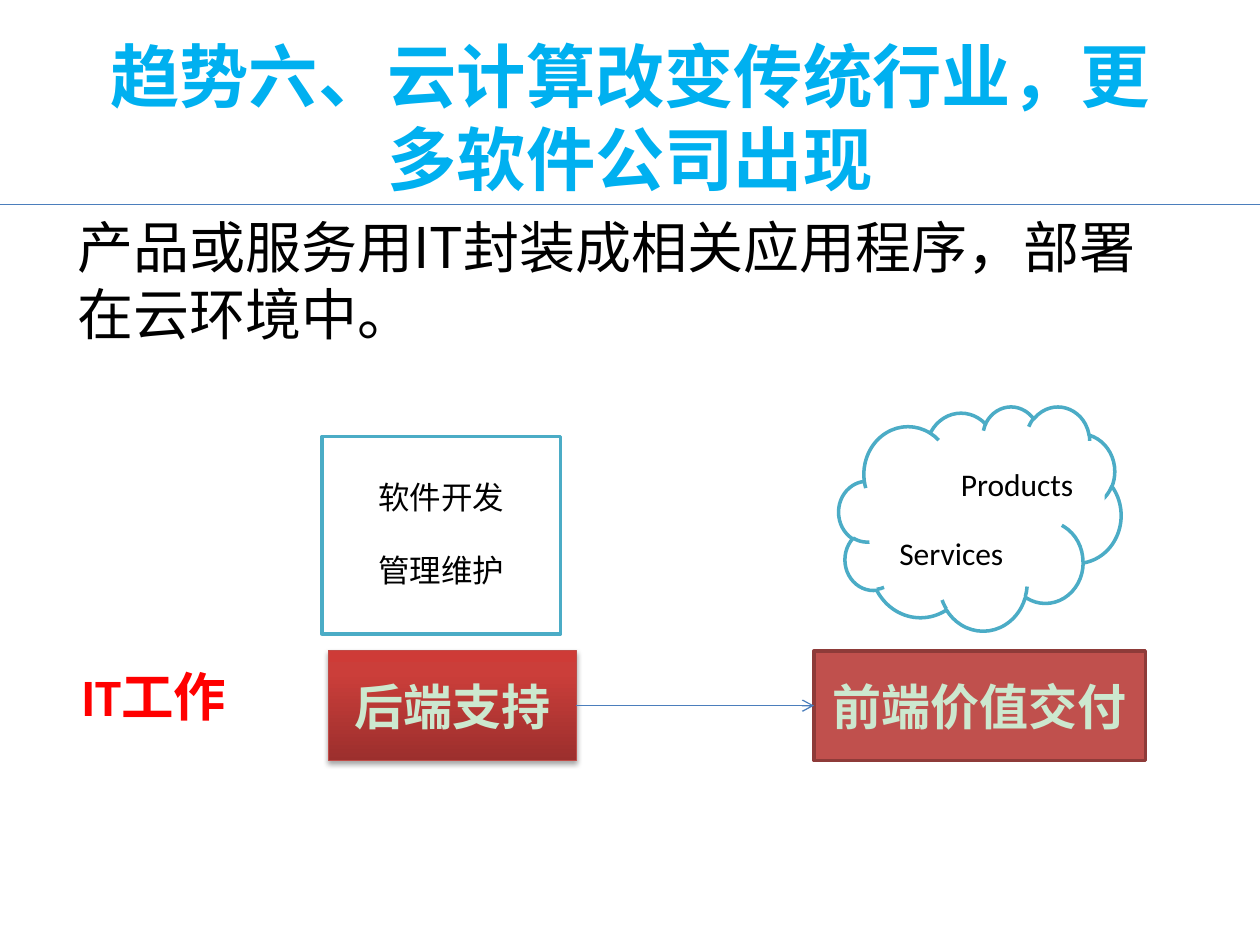
from lxml.etree import SubElement
from pptx import Presentation
from pptx.dml.color import RGBColor
from pptx.enum.shapes import MSO_CONNECTOR, MSO_SHAPE
from pptx.enum.text import MSO_ANCHOR, MSO_AUTO_SIZE, PP_ALIGN
from pptx.oxml import parse_xml
from pptx.oxml.ns import nsdecls, qn
from pptx.util import Cm, Pt

COLORS = {
    "white": "FFFFFF", "black": "000000", "red": "FF0000", "title": "00B0F0",
    "mint": "CCE8CF", "teal": "4BACC6", "rule": "4B7EBC",
    "brick": "C0504D", "brick_edge": "8E3B39", "support_edge": "BF4C48",
}
GRADIENT = [(0, "9C2F2D"), (80, "CB3E3A"), (100, "CE3B37")]

TITLE = "趋势六、云计算改变传统行业，更多软件公司出现"
BODY = "产品或服务用IT封装成相关应用程序，部署在云环境中。"
LABEL_HEIGHT = 1.4
LABELS = [
    ("Products", 18.74, 9.05, 3.53, {}),
    ("Services", 17.86, 10.44, 2.64, {}),
    ("IT工作", 0.7, 13.32, 4.8, {"size": 30, "color": "red", "bold": True}),
    ("软件开发", 7.26, 9.32, 3.28, {}),
    ("管理维护", 7.26, 10.79, 3.28, {}),
]
OUTLINES = [
    (MSO_SHAPE.RECTANGLE, (6.49, 8.8, 4.81, 3.98)),
    (MSO_SHAPE.CLOUD, (16.91, 8.19, 5.69, 4.52)),
]
STAGE_TOP, STAGE_HEIGHT = 13.12, 2.21
STAGES = [
    ("后端支持", 6.62, 5.0, "support_edge", 0.75),
    ("前端价值交付", 16.41, 6.68, "brick_edge", 2),
]


def rgb(name):
    return RGBColor.from_string(COLORS[name])


def write_text(shape, text, size=18, color="black", bold=False, font="Calibri",
               align=PP_ALIGN.CENTER, anchor=MSO_ANCHOR.MIDDLE):
    frame = shape.text_frame
    frame.word_wrap = True
    frame.auto_size = MSO_AUTO_SIZE.NONE
    frame.vertical_anchor = anchor
    frame.text = text
    paragraph = frame.paragraphs[0]
    properties = paragraph._p.get_or_add_pPr()
    properties.set("marL", "0")
    properties.set("indent", "0")
    SubElement(properties, qn("a:buNone"))
    paragraph.alignment = align
    paragraph.space_before = Pt(0)
    run = paragraph.runs[0]
    run.font.name = font
    run.font.size = Pt(size)
    run.font.bold = bold
    run.font.color.rgb = rgb(color)


def place(shape, left, top, width, height):
    shape.left, shape.top = Cm(left), Cm(top)
    shape.width, shape.height = Cm(width), Cm(height)


def add_box(slide, kind, bounds, fill="white", line=None, line_width=2):
    shape = slide.shapes.add_shape(kind, *map(Cm, bounds))
    shape.shadow.inherit = False
    shape.fill.solid()
    shape.fill.fore_color.rgb = rgb(fill)
    if line:
        shape.line.color.rgb = rgb(line)
        shape.line.width = Pt(line_width)
    else:
        shape.line.fill.background()
    return shape


def add_line(slide, start, end):
    line = slide.shapes.add_connector(MSO_CONNECTOR.STRAIGHT, *map(Cm, start + end))
    line.line.color.rgb = rgb("rule")
    line.line.width = Pt(0.75)
    SubElement(line._element.spPr, qn("a:effectLst"))
    return line


def shade(shape):
    properties = shape._element.spPr
    stops = "".join(
        f'<a:gs pos="{position * 1000}"><a:srgbClr val="{color}"/></a:gs>'
        for position, color in GRADIENT
    )
    gradient = parse_xml(
        f'<a:gradFill {nsdecls("a")} rotWithShape="1"><a:gsLst>{stops}</a:gsLst>'
        '<a:lin ang="16200000" scaled="0"/></a:gradFill>'
    )
    properties.replace(properties.find(qn("a:solidFill")), gradient)
    shadow = SubElement(
        properties.find(qn("a:effectLst")), qn("a:outerShdw"), blurRad=str(Pt(3.1)),
        dist=str(Pt(1.8)), dir="5400000", rotWithShape="0",
    )
    color = SubElement(shadow, qn("a:srgbClr"), val=COLORS["black"])
    SubElement(color, qn("a:alpha"), val="35000")


def main():
    presentation = Presentation()
    presentation.slide_width, presentation.slide_height = Cm(25.4), Cm(19.05)
    slide = presentation.slides.add_slide(presentation.slide_layouts[1])
    slide.background.fill.solid()
    slide.background.fill.fore_color.rgb = rgb("white")

    title, body = slide.placeholders
    place(title, 1.27, 0.76, 22.86, 3.18)
    write_text(title, TITLE, size=39.6, color="title", bold=True)
    place(body, 1.3, 4.15, 22.86, 4.04)
    write_text(body, BODY, size=32, font="Noto Sans CJK SC",
               align=PP_ALIGN.LEFT, anchor=MSO_ANCHOR.TOP)

    add_line(slide, (0, 4.12), (25.4, 4.12))
    for kind, bounds in OUTLINES:
        add_box(slide, kind, bounds, line="teal")

    stages = []
    for text, left, width, edge, edge_width in STAGES:
        stage = add_box(slide, MSO_SHAPE.RECTANGLE, (left, STAGE_TOP, width, STAGE_HEIGHT),
                        fill="brick", line=edge, line_width=edge_width)
        write_text(stage, text, size=28, color="mint", bold=True)
        stages.append(stage)
    support, delivery = stages
    shade(support)

    arrow = add_line(slide, (0, 0), (1, 1))
    arrow.begin_connect(support, 3)
    arrow.end_connect(delivery, 1)
    SubElement(arrow.line._get_or_add_ln(), qn("a:tailEnd"), type="arrow")

    for text, left, top, width, style in LABELS:
        label = add_box(slide, MSO_SHAPE.RECTANGLE, (left, top, width, LABEL_HEIGHT))
        write_text(label, text, **style)

    presentation.save("out.pptx")


if __name__ == "__main__":
    main()
